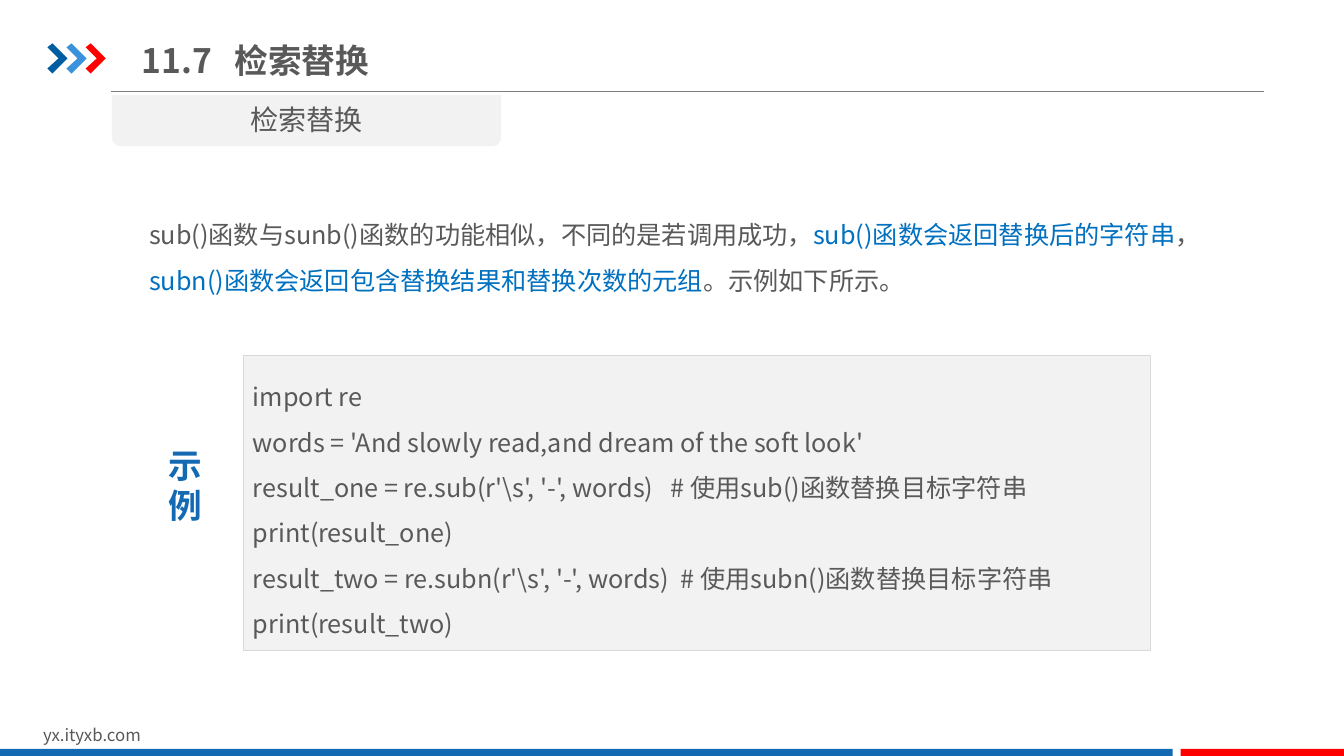
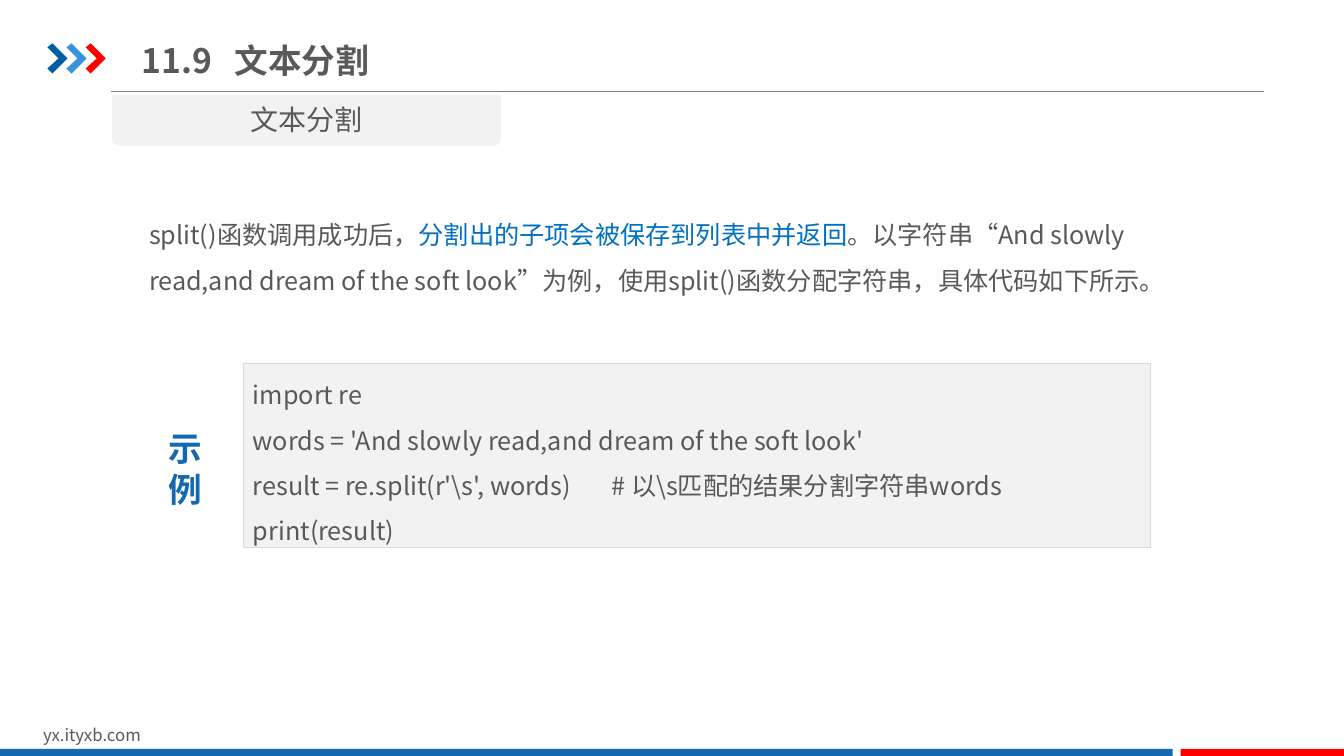
from dataclasses import dataclass

from lxml.etree import SubElement
from pptx import Presentation
from pptx.dml.color import RGBColor
from pptx.enum.shapes import MSO_CONNECTOR, MSO_SHAPE
from pptx.enum.text import MSO_ANCHOR, PP_ALIGN
from pptx.oxml.ns import qn
from pptx.util import Inches, Pt


@dataclass(frozen=True)
class Theme:
    font: str = "Noto Sans CJK SC"
    text: str = "595959"
    highlight: str = "0070C0"
    blue: str = "1369B2"
    red: str = "FF0000"
    panel: str = "F2F2F2"
    panel_border: str = "D9D9D9"
    rule: str = "808080"
    chevrons: tuple = ("005DA2", "3992DB", "FF0000")
    title_size: int = 24
    tab_size: int = 20
    body_size: int = 18
    footer_size: int = 12


THEME = Theme()

# Content: highlighted parts of the introduction are marked True
FOOTER = "yx.ityxb.com"
EXAMPLE_LABEL = "示\n例"
LESSONS = [
    {
        "number": "11.7",
        "title": "检索替换",
        "intro": [
            ("sub()函数与sunb()函数的功能相似，不同的是若调用成功，", False),
            ("sub()函数会返回替换后的字符串", True),
            ("，", False),
            ("subn()函数会返回包含替换结果和替换次数的元组", True),
            ("。示例如下所示。", False),
        ],
        "code": [
            "import re",
            "words = 'And slowly read,and dream of the soft look'",
            "result_one = re.sub(r'\\s', '-', words)   # 使用sub()函数替换目标字符串",
            "print(result_one)",
            "result_two = re.subn(r'\\s', '-', words)  # 使用subn()函数替换目标字符串",
            "print(result_two)",
        ],
        "code_top": 3.52,
        "code_height": 2.93,
        "label_top": 4.36,
    },
    {
        "number": "11.9",
        "title": "文本分割",
        "intro": [
            ("split()函数调用成功后，", False),
            ("分割出的子项会被保存到列表中并返回", True),
            ("。以字符串“And slowly read,and dream of the soft look”为例，"
             "使用split()函数分配字符串，具体代码如下所示。", False),
        ],
        "code": [
            "import re",
            "words = 'And slowly read,and dream of the soft look'",
            "result = re.split(r'\\s', words)\t # 以\\s匹配的结果分割字符串words",
            "print(result)",
        ],
        "code_top": 3.6,
        "code_height": 1.83,
        "label_top": 4.2,
    },
]

# Chevron outline relative to its top left corner, in inches
CHEVRON = [(0, 0.04), (0.05, 0), (0.2, 0.15), (0.05, 0.3), (0, 0.25), (0.11, 0.15)]
CHEVRON_LEFT, CHEVRON_TOP, CHEVRON_STEP = 0.47, 0.43, 0.19


# Helpers
def color(value):
    return RGBColor.from_string(value)


def paint(shape, fill, border=None):
    shape.shadow.inherit = False
    shape.fill.solid()
    shape.fill.fore_color.rgb = color(fill)
    if border:
        shape.line.color.rgb = color(border)
        shape.line.width = Pt(0.25)
    else:
        shape.line.fill.background()


def add_panel(slide, kind, box, fill, border=None):
    shape = slide.shapes.add_shape(kind, *map(Inches, box))
    paint(shape, fill, border)
    return shape


def format_run(run, size, run_color, bold=False):
    run.font.name = THEME.font
    run.font.size = Pt(size)
    run.font.bold = bold
    run.font.color.rgb = color(run_color)
    SubElement(run.font._element, qn("a:ea"), typeface=THEME.font)


def format_text(frame, size, text_color=THEME.text, bold=False,
                align=PP_ALIGN.LEFT, spacing=None):
    frame.word_wrap = True
    for paragraph in frame.paragraphs:
        paragraph.alignment = align
        if spacing:
            paragraph.line_spacing = spacing
        for run in paragraph.runs:
            format_run(run, size, text_color, bold)


def add_text(slide, box, text, size, **style):
    frame = slide.shapes.add_textbox(*map(Inches, box)).text_frame
    frame.text = text
    format_text(frame, size, **style)
    return frame


# Parts shared by every slide
def add_frame(slide):
    rule = slide.shapes.add_connector(
        MSO_CONNECTOR.STRAIGHT, *map(Inches, (1.1, 0.91, 12.54, 0.91)))
    rule.line.color.rgb = color(THEME.rule)
    rule.line.width = Pt(0.75)
    SubElement(rule._element.spPr, qn("a:effectLst"))

    for index, fill in enumerate(THEME.chevrons):
        left = CHEVRON_LEFT + index * CHEVRON_STEP
        points = [(Inches(left + x), Inches(CHEVRON_TOP + y)) for x, y in CHEVRON]
        builder = slide.shapes.build_freeform(*points[0])
        builder.add_line_segments(points[1:], close=True)
        paint(builder.convert_to_shape(), fill)

    add_text(slide, (0.33, 7.14, 3.18, 0.3), FOOTER, THEME.footer_size)
    for left, width, fill in ((0, 11.63, THEME.blue), (11.71, 1.62, THEME.red)):
        add_panel(slide, MSO_SHAPE.RECTANGLE, (left, 7.43, width, 0.07), fill)


def add_heading(slide, number, title):
    frame = add_text(slide, (1.31, 0.29, 6.34, 0.61), f"{number}\t{title}",
                     THEME.title_size, bold=True)
    frame.vertical_anchor = MSO_ANCHOR.MIDDLE
    properties = frame.paragraphs[0]._p.get_or_add_pPr()
    tabs = SubElement(properties, qn("a:tabLst"))
    SubElement(tabs, qn("a:tab"), pos=str(Inches(0.92)), algn="l")

    tab = add_panel(slide, MSO_SHAPE.ROUND_2_SAME_RECTANGLE,
                    (1.11, 0.94, 3.86, 0.51), THEME.panel)
    tab.rotation = 180
    add_text(slide, (1.11, 0.97, 3.86, 0.44), title, THEME.tab_size,
             align=PP_ALIGN.CENTER)


# Lesson body
def add_intro(slide, parts):
    frame = slide.shapes.add_textbox(*map(Inches, (1.38, 1.98, 10.6, 1.01))).text_frame
    frame.word_wrap = True
    paragraph = frame.paragraphs[0]
    paragraph.line_spacing = 1.5
    for text, highlighted in parts:
        run = paragraph.add_run()
        run.text = text
        format_run(run, THEME.body_size, THEME.highlight if highlighted else THEME.text)


def add_example(slide, lesson):
    panel = add_panel(slide, MSO_SHAPE.RECTANGLE,
                      (2.41, lesson["code_top"], 9, lesson["code_height"]),
                      THEME.panel, THEME.panel_border)
    frame = panel.text_frame
    frame.text = "\n".join(lesson["code"])
    frame.vertical_anchor = MSO_ANCHOR.MIDDLE
    format_text(frame, THEME.body_size, spacing=1.5)
    add_text(slide, (1.57, lesson["label_top"], 0.54, 0.91), EXAMPLE_LABEL,
             THEME.title_size, text_color=THEME.blue, bold=True, align=PP_ALIGN.CENTER)


def main():
    presentation = Presentation()
    presentation.slide_width = Inches(13.33)
    presentation.slide_height = Inches(7.5)
    for lesson in LESSONS:
        slide = presentation.slides.add_slide(presentation.slide_layouts[6])
        add_frame(slide)
        add_heading(slide, lesson["number"], lesson["title"])
        add_intro(slide, lesson["intro"])
        add_example(slide, lesson)
    presentation.save("out.pptx")


if __name__ == "__main__":
    main()
